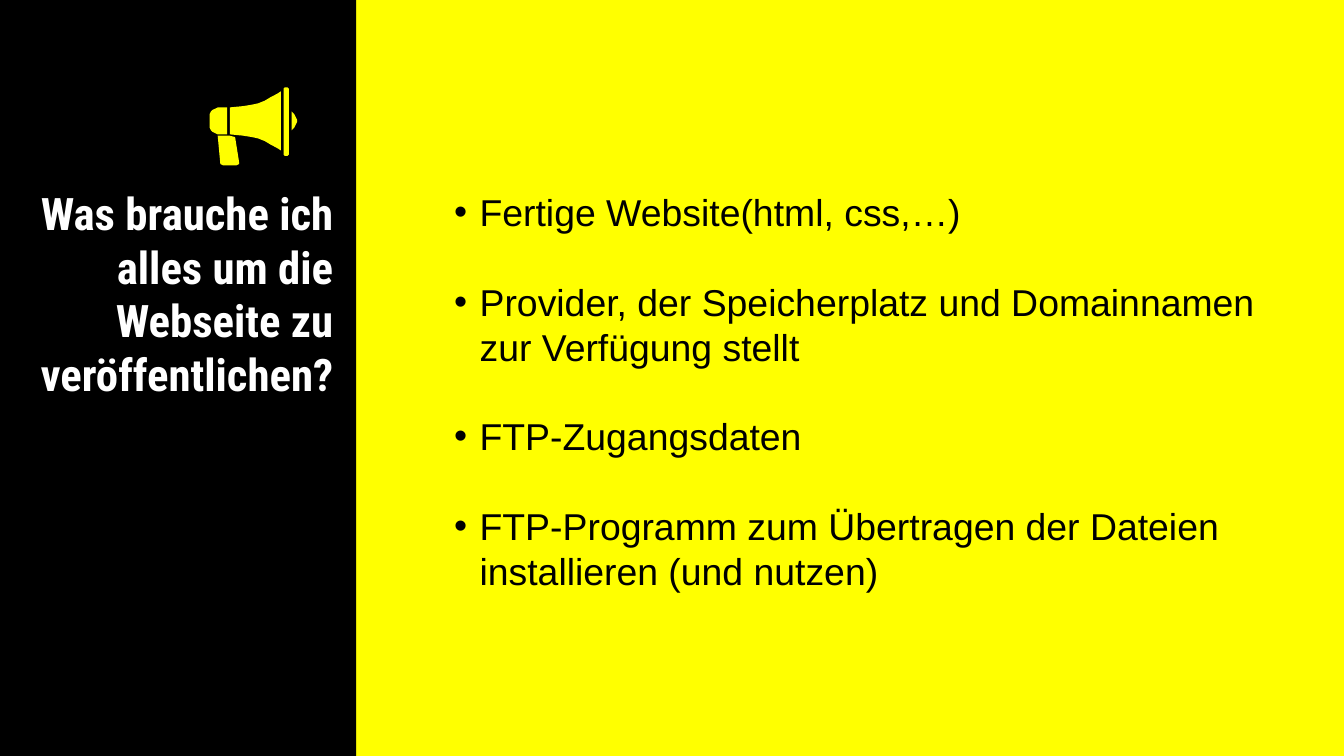
from dataclasses import dataclass

from lxml import etree
from pptx import Presentation
from pptx.dml.color import RGBColor
from pptx.enum.shapes import MSO_SHAPE
from pptx.enum.text import MSO_ANCHOR, MSO_AUTO_SIZE, PP_ALIGN
from pptx.oxml.ns import qn
from pptx.util import Inches, Pt

RECTANGLE = MSO_SHAPE.RECTANGLE
TOP = MSO_ANCHOR.TOP
LEFT, RIGHT = PP_ALIGN.LEFT, PP_ALIGN.RIGHT
NO_AUTOFIT = MSO_AUTO_SIZE.NONE
TITLE_ONLY = 5


@dataclass(frozen=True)
class Theme:
    """Colours, fonts and type sizes of the slide."""
    yellow: RGBColor = RGBColor(0xFF, 0xFF, 0x00)
    black: RGBColor = RGBColor(0x00, 0x00, 0x00)
    white: RGBColor = RGBColor(0xFF, 0xFF, 0xFF)
    title_font: str = "Roboto Condensed"
    body_font: str = "Arial"
    title_size: Pt = Pt(24)
    body_size: Pt = Pt(20)
    body_gap: Pt = Pt(24)


THEME = Theme()
TITLE = "Was brauche ich alles um die Webseite zu veröffentlichen?"
REQUIREMENTS = [
    "Fertige Website(html, css,…)",
    "Provider, der Speicherplatz und Domainnamen zur Verfügung stellt",
    "FTP-Zugangsdaten",
    "FTP-Programm zum Übertragen der Dateien installieren (und nutzen)",
]


def mirrored(upper_half, axis=25):
    """Close an outline by reflecting its upper half about a horizontal axis."""
    return upper_half + [(x, 2 * axis - y) for x, y in reversed(upper_half)]


HANDLE = [(6, 36), (8, 57), (10, 58), (20, 58), (22, 57), (22, 56),
          (19, 37), (15, 36)]
BACK = mirrored([(13, 15), (6, 15), (4, 16), (2, 17), (1, 18), (0, 20), (0, 21)])
BELL = mirrored([(53, 3), (50, 5), (46, 7), (41, 10), (36, 12), (31, 13),
                 (25, 14), (15, 15)])
RIM = mirrored([(55, 1), (56, 0), (58, 0), (59, 1), (59, 2)], axis=25.5)
CAP = mirrored([(61, 18), (63, 20), (64, 22), (65, 24)])


def fill_plain(shape, color):
    """Give a shape a solid fill without line or shadow."""
    shape.shadow.inherit = False
    shape.fill.solid()
    shape.fill.fore_color.rgb = color
    shape.line.fill.background()


def prepare_frame(shape):
    """Set wrapping, top anchoring and even insets, and return the text frame."""
    frame = shape.text_frame
    frame.word_wrap = True
    frame.auto_size = NO_AUTOFIT
    frame.vertical_anchor = TOP
    frame.margin_left = frame.margin_right = Inches(0.1)
    frame.margin_top = frame.margin_bottom = Inches(0.1)
    return frame


def add_text(paragraph, text, font_name, size, color, bold=False):
    """Add one formatted run to a paragraph."""
    run = paragraph.add_run()
    run.text = text
    run.font.name = font_name
    run.font.size = size
    run.font.bold = bold
    run.font.color.rgb = color


def add_megaphone(slide, left, top):
    """Draw the megaphone icon from its upper left corner."""
    group = slide.shapes.add_group_shape()
    for outline in (HANDLE, CAP, BACK, BELL, RIM):
        builder = group.shapes.build_freeform(*outline[0], scale=Inches(0.01))
        builder.add_line_segments(outline[1:], close=True)
        fill_plain(builder.convert_to_shape(left, top), THEME.yellow)


def add_sidebar(slide, left, top, width, height):
    """Build the dark side panel with its title and icon."""
    title = slide.shapes.title
    panel = slide.shapes.add_shape(RECTANGLE, left, top, width, height)
    fill_plain(panel, THEME.black)
    title.element.addprevious(panel.element)

    title.left, title.top = left - Inches(0.19), top + Inches(1.28)
    title.width, title.height = Inches(2.77), Inches(3.74)
    paragraph = prepare_frame(title).paragraphs[0]
    paragraph.alignment = RIGHT
    add_text(paragraph, TITLE, THEME.title_font, THEME.title_size,
             THEME.white, bold=True)
    add_megaphone(slide, left + Inches(1.56), top + Inches(0.65))


def add_bullet(paragraph):
    """Give a paragraph a hanging bullet."""
    properties = paragraph._p.get_or_add_pPr()
    properties.set("marL", str(Inches(0.19)))
    properties.set("indent", str(-Inches(0.19)))
    font = etree.SubElement(properties, qn("a:buFont"))
    font.set("typeface", THEME.body_font)
    etree.SubElement(properties, qn("a:buChar")).set("char", "•")


def add_requirements(slide, left, top, width, height):
    """Build the bulleted list of requirements."""
    frame = prepare_frame(slide.shapes.add_textbox(left, top, width, height))
    for index, text in enumerate(REQUIREMENTS):
        paragraph = frame.add_paragraph() if index else frame.paragraphs[0]
        paragraph.alignment = LEFT
        paragraph.space_before = THEME.body_gap if index else Pt(0)
        add_bullet(paragraph)
        add_text(paragraph, text, THEME.body_font, THEME.body_size, THEME.black)


def main():
    """Build and save the presentation."""
    presentation = Presentation()
    presentation.slide_width = Inches(10)
    presentation.slide_height = presentation.slide_width * 9 // 16
    slide = presentation.slides.add_slide(presentation.slide_layouts[TITLE_ONLY])
    slide.background.fill.solid()
    slide.background.fill.fore_color.rgb = THEME.yellow
    add_sidebar(slide, 0, 0, Inches(2.65), presentation.slide_height)
    add_requirements(slide, Inches(3.28), Inches(1.31), Inches(6.22), Inches(3.47))
    presentation.save("out.pptx")


if __name__ == "__main__":
    main()
